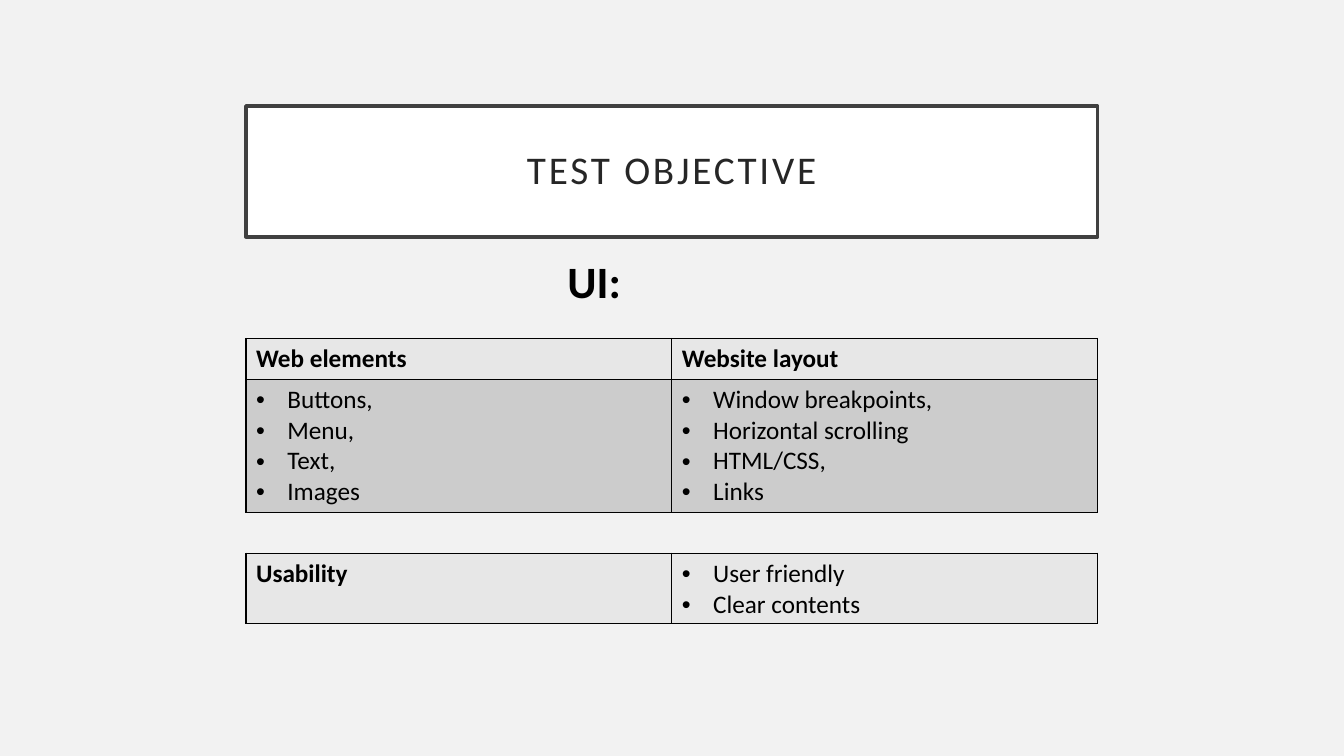
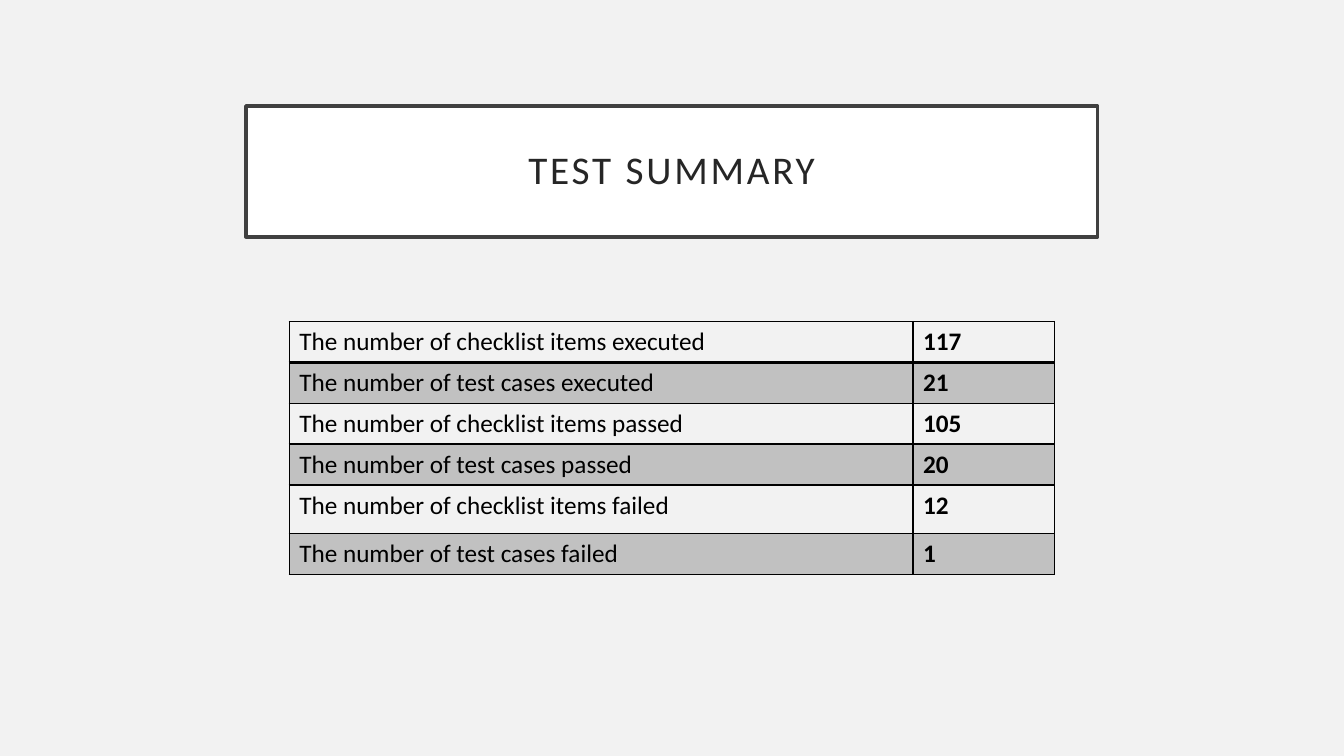
from dataclasses import dataclass

from lxml import etree
from pptx import Presentation
from pptx import util as u
from pptx.dml.color import RGBColor
from pptx.enum import shapes, text
from pptx.oxml import ns


@dataclass(frozen=True)
class Theme:
    """Colours, type sizes and line widths shared by the slides."""

    font: str = "Calibri"
    background: str = "F2F2F2"
    panel: str = "FFFFFF"
    frame: str = "404040"
    heading: str = "262626"
    ink: str = "000000"
    light: str = "E7E7E7"
    medium: str = "CCCCCC"
    title_size: int = 28
    label_size: int = 32
    body_size: int = 18
    frame_width: float = 2.5
    border_width: int = 1
    strong_border: int = 2
    stripe_opacity: int = 20


THEME = Theme()
TITLE_BOX = (6.2, 2.67, 21.46, 3.3)
ROW_HEIGHT = 1.03
BULLET_INDENT = 0.79


@dataclass(frozen=True)
class Cell:
    """Content and look of one table cell."""

    lines: tuple
    bold: bool = False
    bullets: bool = False
    fill: str | None = None
    opacity: int = 100
    bottom: float = THEME.border_width


def set_attributes(target, values):
    """Set each named attribute of the target."""
    for name, value in values.items():
        setattr(target, name, value)


def add_element(parent, tag, **attributes):
    """Append a drawing element and return it."""
    return etree.SubElement(parent, ns.qn(tag), attributes)


def write_text(paragraph, words, size, color, bold=False):
    """Write one run in the theme font and return it."""
    run = paragraph.add_run()
    run.text = words
    set_attributes(run.font, {"name": THEME.font, "size": u.Pt(size), "bold": bold})
    run.font.color.rgb = RGBColor.from_string(color)
    return run


def add_bullet(paragraph):
    """Give a paragraph a hanging bullet."""
    properties = paragraph._p.get_or_add_pPr()
    indent = u.Cm(BULLET_INDENT)
    properties.set("marL", str(indent))
    properties.set("indent", str(-indent))
    add_element(properties, "a:buFont", typeface="Arial")
    add_element(properties, "a:buChar", char="•")


def add_borders(cell, bottom):
    """Draw the four borders of a cell."""
    properties = cell._tc.get_or_add_tcPr()
    thin = THEME.border_width
    widths = {"a:lnL": thin, "a:lnR": thin, "a:lnT": thin, "a:lnB": bottom}
    for tag, width in widths.items():
        line = add_element(properties, tag, w=str(u.Pt(width)))
        add_element(add_element(line, "a:solidFill"), "a:srgbClr", val=THEME.ink)


def fill_cell(cell, color, opacity):
    """Fill a cell, or leave it clear when there is no colour."""
    if color is None:
        cell.fill.background()
        return
    cell.fill.solid()
    cell.fill.fore_color.rgb = RGBColor.from_string(color)
    if opacity < 100:
        swatch = cell._tc.tcPr.find(".//" + ns.qn("a:solidFill") + "[last()]")
        swatch = cell._tc.tcPr.find(ns.qn("a:solidFill") + "/" + ns.qn("a:srgbClr"))
        add_element(swatch, "a:alpha", val=str(opacity * 1000))


def draw_cell(cell, content):
    """Write and format one table cell."""
    add_borders(cell, content.bottom)
    fill_cell(cell, content.fill, content.opacity)
    frame = cell.text_frame
    for index, words in enumerate(content.lines):
        paragraph = frame.add_paragraph() if index else frame.paragraphs[0]
        if content.bullets:
            add_bullet(paragraph)
        write_text(paragraph, words, THEME.body_size, THEME.ink, content.bold)


def draw_table(slide, left, top, widths, heights, rows):
    """Place a bordered table with the given column widths and row heights."""
    box = [u.Cm(length) for length in (left, top, sum(widths), sum(heights))]
    table = slide.shapes.add_table(len(heights), len(widths), *box).table
    set_attributes(table, {"first_row": False, "horz_banding": False})
    for column, width in zip(table.columns, widths):
        column.width = u.Cm(width)
    for row, height, contents in zip(table.rows, heights, rows):
        row.height = u.Cm(height)
        for cell, content in zip(row.cells, contents):
            draw_cell(cell, content)


def draw_title(slide, words, box):
    """Place the framed title in its box."""
    lengths = [u.Cm(length) for length in box]
    shape = slide.shapes.add_shape(shapes.MSO_SHAPE.RECTANGLE, *lengths)
    shape.shadow.inherit = False
    shape.fill.solid()
    shape.fill.fore_color.rgb = RGBColor.from_string(THEME.panel)
    shape.line.color.rgb = RGBColor.from_string(THEME.frame)
    shape.line.width = u.Pt(THEME.frame_width)
    frame = shape.text_frame
    sides = ("left", "top", "right", "bottom")
    set_attributes(frame, {f"margin_{side}": u.Cm(0.5) for side in sides})
    set_attributes(frame, {"word_wrap": True, "vertical_anchor": text.MSO_ANCHOR.MIDDLE})
    paragraph = frame.paragraphs[0]
    set_attributes(paragraph, {"alignment": text.PP_ALIGN.CENTER, "line_spacing": 0.9})
    run = write_text(paragraph, words, THEME.title_size, THEME.heading)
    run.font._element.set("spc", "200")


def draw_label(slide, words, box):
    """Place a large bold label in its box."""
    frame = slide.shapes.add_textbox(*[u.Cm(length) for length in box]).text_frame
    set_attributes(frame, {"word_wrap": True, "auto_size": text.MSO_AUTO_SIZE.SHAPE_TO_FIT_TEXT})
    write_text(frame.paragraphs[0], words, THEME.label_size, THEME.ink, True)


def start_slide(presentation, title):
    """Add a blank slide with the shared background and title."""
    slide = presentation.slides.add_slide(presentation.slide_layouts[6])
    slide.background.fill.solid()
    slide.background.fill.fore_color.rgb = RGBColor.from_string(THEME.background)
    draw_title(slide, title, TITLE_BOX)
    return slide


def build_objective(presentation):
    """Build the slide that lists what is tested."""
    slide = start_slide(presentation, "TEST OBJECTIVE")
    left, _, width, _ = TITLE_BOX
    halves = [width / 2] * 2
    headings = ("Web elements", "Website layout")
    topics = (
        ("Buttons,", "Menu,", "Text,", "Images"),
        ("Window breakpoints,", "Horizontal scrolling", "HTML/CSS,", "Links"),
    )
    interface_rows = [
        [Cell((heading,), bold=True, fill=THEME.light) for heading in headings],
        [Cell(lines, bullets=True, fill=THEME.medium) for lines in topics],
    ]
    usability_row = [
        Cell(("Usability",), bold=True, fill=THEME.light),
        Cell(("User friendly", "Clear contents"), bullets=True, fill=THEME.light),
    ]
    draw_table(slide, left, 8.53, halves, [ROW_HEIGHT, 3.3], interface_rows)
    draw_label(slide, "UI:", (14.05, 6.27, 2.39, 1.63))
    draw_table(slide, left, 13.94, halves, [1.78], [usability_row])


def build_summary(presentation):
    """Build the slide that counts the results."""
    slide = start_slide(presentation, "TEST SUMMARY")
    results = (
        ("The number of checklist items executed", "117"),
        ("The number of test cases executed", "21"),
        ("The number of checklist items passed", "105"),
        ("The number of test cases passed", "20"),
        ("The number of checklist items failed", "12"),
        ("The number of test cases failed", "1"),
    )
    rows = []
    for index, (measure, count) in enumerate(results):
        look = {"bottom": THEME.border_width if index else THEME.strong_border}
        if index % 2:
            look.update(fill=THEME.ink, opacity=THEME.stripe_opacity)
        rows.append([Cell((measure,), **look), Cell((count,), bold=True, **look)])
    heights = [ROW_HEIGHT] * 4 + [1.22, ROW_HEIGHT]
    draw_table(slide, 7.29, 8.1, [15.72, 3.56], heights, rows)


def main():
    """Build and save the presentation."""
    presentation = Presentation()
    size = {"slide_width": u.Cm(33.87), "slide_height": u.Cm(19.05)}
    set_attributes(presentation, size)
    build_objective(presentation)
    build_summary(presentation)
    presentation.save("out.pptx")


if __name__ == "__main__":
    main()
